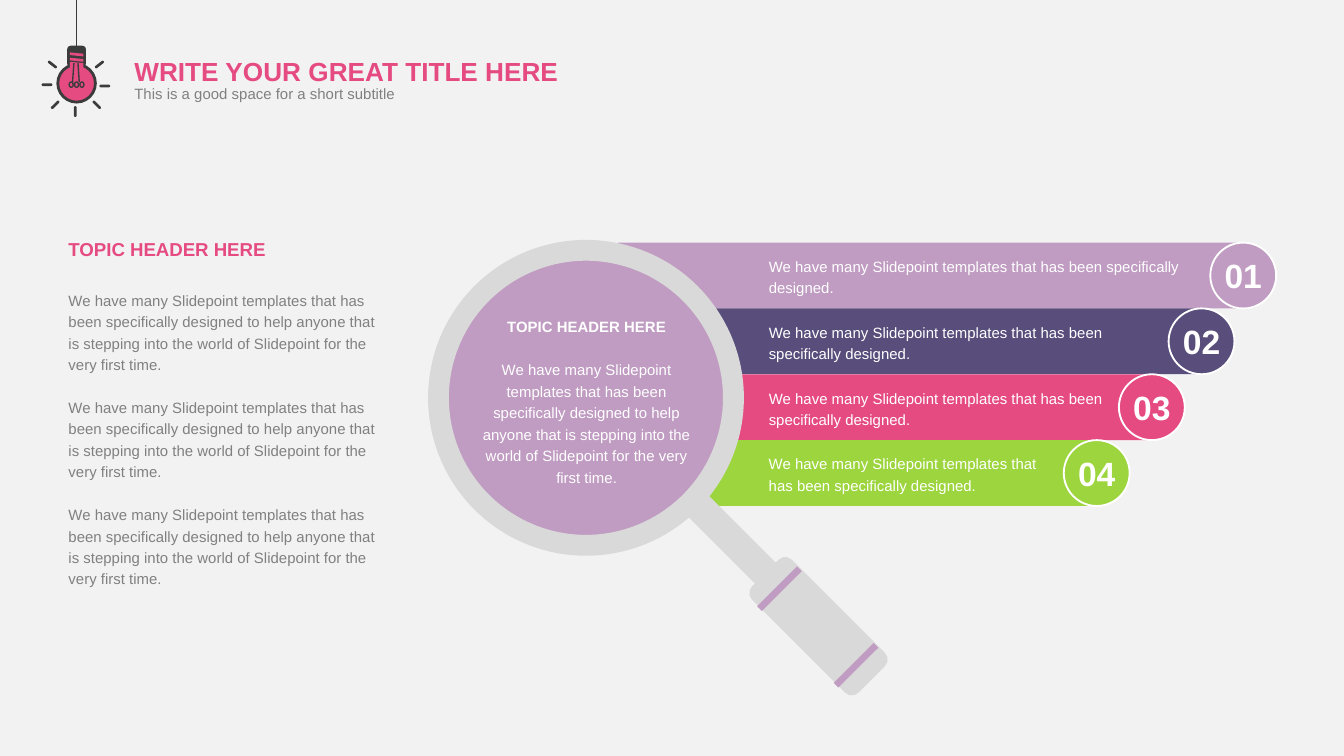
from lxml import etree
from pptx import Presentation
from pptx.dml.color import RGBColor
from pptx.enum.shapes import MSO_CONNECTOR, MSO_SHAPE
from pptx.enum.text import MSO_ANCHOR, PP_ALIGN
from pptx.oxml.ns import qn
from pptx.util import Inches, Pt

RECT, ROUNDED = MSO_SHAPE.RECTANGLE, MSO_SHAPE.ROUNDED_RECTANGLE
OVAL, DONUT = MSO_SHAPE.OVAL, MSO_SHAPE.DONUT
STRAIGHT = MSO_CONNECTOR.STRAIGHT
LEFT, CENTER = PP_ALIGN.LEFT, PP_ALIGN.CENTER
MIDDLE = MSO_ANCHOR.MIDDLE

LILAC, INDIGO, PINK, GREEN = "C09CC2", "594D7B", "E54B81", "9DD53E"
WHITE, PAPER, SILVER, GREY, DARK = "FFFFFF", "F2F2F2", "D9D9D9", "808080", "3B3B3B"

SHORT = "We have many Slidepoint templates that has been specifically designed."
LONG = SHORT[:-1] + (" to help anyone that is stepping into the world of "
                     "Slidepoint for the very first time.")
HEADER = "TOPIC HEADER HERE"

prs = Presentation()
prs.slide_width, prs.slide_height = Inches(10), Inches(5.625)
slide = prs.slides.add_slide(prs.slide_layouts[6])
slide.background.fill.solid()
slide.background.fill.fore_color.rgb = RGBColor.from_string(PAPER)


def draw(kind, center, size, fill=None, line=None, weight=1, turn=0, adjust=None):
    """Add a preset shape around its center; lengths are inches, turn is degrees."""
    (x, y), (w, h) = center, size
    shape = slide.shapes.add_shape(
        kind, Inches(x - w / 2), Inches(y - h / 2), Inches(w), Inches(h))
    shape.shadow.inherit = False
    shape.rotation = turn
    if adjust is not None:
        shape.adjustments[0] = adjust
    if fill:
        shape.fill.solid()
        shape.fill.fore_color.rgb = RGBColor.from_string(fill)
    else:
        shape.fill.background()
    if line:
        shape.line.color.rgb = RGBColor.from_string(line)
        shape.line.width = Pt(weight)
    else:
        shape.line.fill.background()
    return shape


def write(text, at=None, into=None, size=8, color=WHITE, bold=False,
          align=LEFT, spacing=1.0, before=0):
    """Add one paragraph to a new text box at (left, top, width, height) or into a shape."""
    holder = into if into is not None else slide.shapes.add_textbox(
        *[Inches(length) for length in at])
    frame = holder.text_frame
    frame.word_wrap = True
    frame.margin_left = frame.margin_right = frame.margin_top = frame.margin_bottom = 0
    paragraph = frame.add_paragraph() if frame.text else frame.paragraphs[0]
    paragraph.alignment = align
    paragraph.line_spacing = spacing
    paragraph.space_before = Pt(before)
    run = paragraph.add_run()
    run.text = text
    run.font.name = "Arial"
    run.font.size = Pt(size)
    run.font.bold = bold
    run.font.color.rgb = RGBColor.from_string(color)
    return holder


# Numbered bars, each ending at the middle of its badge
ROW, FIRST_ROW = 0.49, 2.05
bars = [(LILAC, 4.6, 9.25, 3.22), (INDIGO, 4.29, 8.94, 2.91),
        (PINK, 3.92, 8.57, 2.51), (GREEN, 3.87, 8.16, 2.2)]
for i, (color, start, end, text_width) in enumerate(bars):
    middle = FIRST_ROW + i * ROW
    draw(RECT, ((start + end) / 2, middle), (end - start, ROW), color)
    badge = draw(OVAL, (end, middle), (ROW, ROW), color, line=WHITE)
    badge.text_frame.vertical_anchor = MIDDLE
    write(f"{i + 1:02}", into=badge, size=18, bold=True, align=CENTER)
    write(SHORT, at=(5.72, middle - 0.16, text_width, 0.32), spacing=1.2)

# Magnifying glass
LENS = (4.36, 2.96)
draw(OVAL, LENS, (2.05, 2.05), LILAC)
draw(DONUT, LENS, (2.35, 2.35), SILVER, adjust=0.066)
draw(RECT, (5.44, 4.01), (0.76, 0.22), SILVER, turn=45)
draw(ROUNDED, (6.09, 4.66), (1.12, 0.42), SILVER, turn=45, adjust=0.17)
for band in [(5.8, 4.38), (6.37, 4.95)]:
    draw(RECT, band, (0.05, 0.42), LILAC, turn=45)

lens_text = write(HEADER, at=(3.57, 2.34, 1.59, 1.28), bold=True, align=CENTER, spacing=1.2)
write(LONG, into=lens_text, align=CENTER, spacing=1.2, before=11.5)

# Left column
column = write(HEADER, at=(0.51, 1.74, 2.36, 2.67), size=10, color=PINK, bold=True, spacing=1.2)
for gap in (14.5, 11.5, 11.5):
    write(LONG, into=column, color=GREY, spacing=1.2, before=gap)

# Title
write("WRITE YOUR GREAT TITLE HERE", at=(1, 0.41, 3.6, 0.24), size=14, color=PINK, bold=True)
write("This is a good space for a short subtitle", at=(1, 0.63, 2.4, 0.14), color=GREY)

# Light bulb: glass, socket with slanted threads, filament, rays
BULB_X = 0.57
draw(OVAL, (BULB_X, 0.62), (0.28, 0.28), PINK, line=DARK, weight=1.5)
socket = draw(ROUNDED, (BULB_X, 0.42), (0.14, 0.16), DARK, adjust=0.2)
for top, left_depth, right_depth in [(0.39, 0.02, 0.03), (0.43, 0.02, 0.03), (0.46, 0.06, 0.06)]:
    outline = slide.shapes.build_freeform(Inches(0.52), Inches(top), scale=1.0)
    outline.add_line_segments([
        (Inches(0.62), Inches(top + 0.01)), (Inches(0.62), Inches(top + right_depth)),
        (Inches(0.52), Inches(top + left_depth))])
    thread = outline.convert_to_shape()
    thread.shadow.inherit = False
    thread.fill.solid()
    thread.fill.fore_color.rgb = RGBColor.from_string(PINK)
    thread.line.fill.background()

for offset in (-0.04, 0, 0.04):
    draw(OVAL, (BULB_X + offset, 0.63), (0.03, 0.04), line=DARK, weight=0.75)

wires = [(0.55, 0.47, 0.54, 0.61, 0.75), (0.58, 0.47, 0.59, 0.61, 0.75),
         (BULB_X, 0.34, BULB_X, 0, 1)]
for x1, y1, x2, y2, weight in wires:
    wire = slide.shapes.add_connector(
        STRAIGHT, Inches(x1), Inches(y1), Inches(x2), Inches(y2))
    wire.line.color.rgb = RGBColor.from_string(DARK)
    wire.line.width = Pt(weight)
    etree.SubElement(wire._element.spPr, qn("a:effectLst"))
wire.begin_connect(socket, 0)

rays = [(0.35, 0.63, 0), (0.39, 0.48, 38), (0.74, 0.48, -38), (0.78, 0.64, 0),
        (0.72, 0.78, 45), (0.56, 0.83, 90), (0.41, 0.78, -45)]
for x, y, turn in rays:
    draw(ROUNDED, (x, y), (0.08, 0.02), DARK, turn=turn, adjust=0.5)

prs.save("out.pptx")
